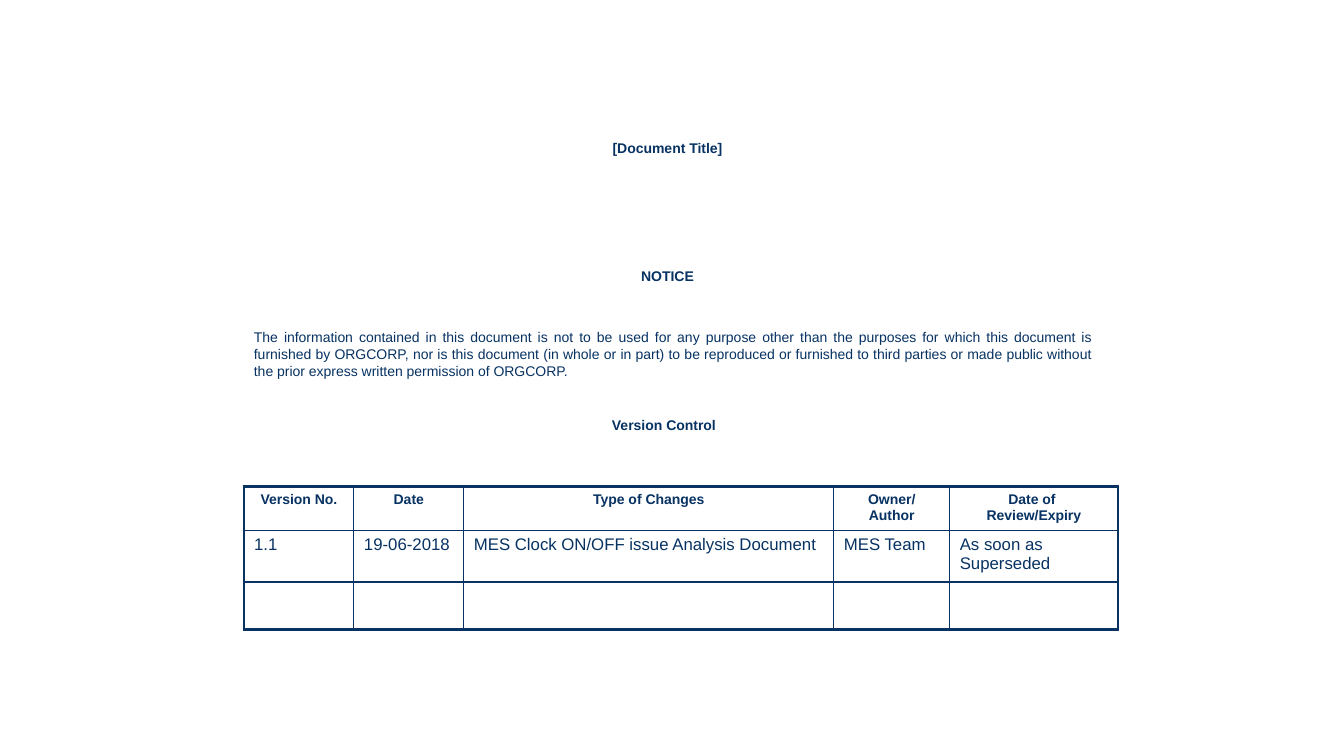
from lxml import etree
from pptx import Presentation
from pptx import util as u
from pptx.dml.color import RGBColor
from pptx.enum import text
from pptx.oxml import ns

COLORS = {"navy": "073262", "white": "FFFFFF"}
NOTICE = (
    "The information contained in this document is not to be used for any purpose other than "
    "the purposes for which this document is furnished by ORGCORP, nor is this document "
    "(in whole or in part) to be reproduced or furnished to third parties or made public "
    "without the prior express written permission of ORGCORP."
)
COLUMN_WIDTHS = [1.09, 1.09, 3.67, 1.15, 1.67]
ROW_HEIGHTS = [0.42, 0.51, 0.47]
VERSIONS = [
    ["Version No.", "Date", "Type of Changes", "Owner/ Author", "Date of \vReview/Expiry"],
    ["1.1", "19-06-2018", "MES Clock ON/OFF issue Analysis Document", "MES Team",
     "As soon as Superseded"],
    [""] * 5,
]


def write(frame, words, size=10, bold=True, align=text.PP_ALIGN.CENTER):
    """Fill a text frame with one formatted paragraph."""
    frame.word_wrap = True
    frame.text = words
    paragraph = frame.paragraphs[0]
    paragraph.alignment = align
    paragraph.font.name = "Arial"
    paragraph.font.size = u.Pt(size)
    paragraph.font.bold = bold
    paragraph.font.color.rgb = RGBColor.from_string(COLORS["navy"])


def add_title(slide, left, top, width, height):
    """Place the document title in its placeholder."""
    title = slide.shapes.title
    title.left, title.top, title.width, title.height = map(u.Inches, (left, top, width, height))
    write(title.text_frame, "[Document Title]")
    title.text_frame.vertical_anchor = text.MSO_ANCHOR.MIDDLE


def add_text(slide, left, top, width, height, words, **style):
    """Add a text box centred vertically in its box."""
    box = slide.shapes.add_textbox(*map(u.Inches, (left, top, width, height)))
    write(box.text_frame, words, **style)
    box.text_frame.vertical_anchor = text.MSO_ANCHOR.MIDDLE


def set_borders(cell, widths):
    """Draw navy cell borders, with widths in points by side."""
    properties = cell._tc.get_or_add_tcPr()
    for position, (side, width) in enumerate(widths.items()):
        line = etree.Element(ns.qn(f"a:ln{side}"), w=str(u.Pt(width)))
        fill = etree.SubElement(line, ns.qn("a:solidFill"))
        etree.SubElement(fill, ns.qn("a:srgbClr"), val=COLORS["navy"])
        properties.insert(position, line)


def add_version_table(slide, left, top):
    """Add the version table with a thick outer frame."""
    table = slide.shapes.add_table(
        len(VERSIONS), len(COLUMN_WIDTHS), u.Inches(left), u.Inches(top),
        u.Inches(sum(COLUMN_WIDTHS)), u.Inches(sum(ROW_HEIGHTS))).table
    for column, width in zip(table.columns, COLUMN_WIDTHS):
        column.width = u.Inches(width)
    for row, height in zip(table.rows, ROW_HEIGHTS):
        row.height = u.Inches(height)
    last_row, last_column = len(VERSIONS) - 1, len(COLUMN_WIDTHS) - 1
    for i, values in enumerate(VERSIONS):
        for j, value in enumerate(values):
            cell = table.cell(i, j)
            cell.fill.solid()
            cell.fill.fore_color.rgb = RGBColor.from_string(COLORS["white"])
            if i == 0:
                write(cell.text_frame, value)
            else:
                write(cell.text_frame, value, 12, False, text.PP_ALIGN.LEFT)
            outer = {"L": j == 0, "R": j == last_column, "T": i == 0, "B": i == last_row}
            set_borders(cell, {side: 2.25 if edge else 1 for side, edge in outer.items()})


def main():
    """Build and save the document control slide."""
    presentation = Presentation()
    presentation.slide_width = u.Inches(13.33)
    presentation.slide_height = u.Inches(7.5)
    slide = presentation.slides.add_slide(presentation.slide_layouts[5])
    add_title(slide, 4.83, 1.33, 3.58, 0.27)
    add_text(slide, 4.83, 2.6, 3.58, 0.27, "NOTICE")
    add_text(slide, 2.42, 3.2, 8.5, 0.62, NOTICE, bold=False, align=text.PP_ALIGN.JUSTIFY)
    add_text(slide, 2.92, 4.08, 7.33, 0.27, "Version Control")
    add_version_table(slide, 2.42, 4.83)
    presentation.save("out.pptx")


if __name__ == "__main__":
    main()
